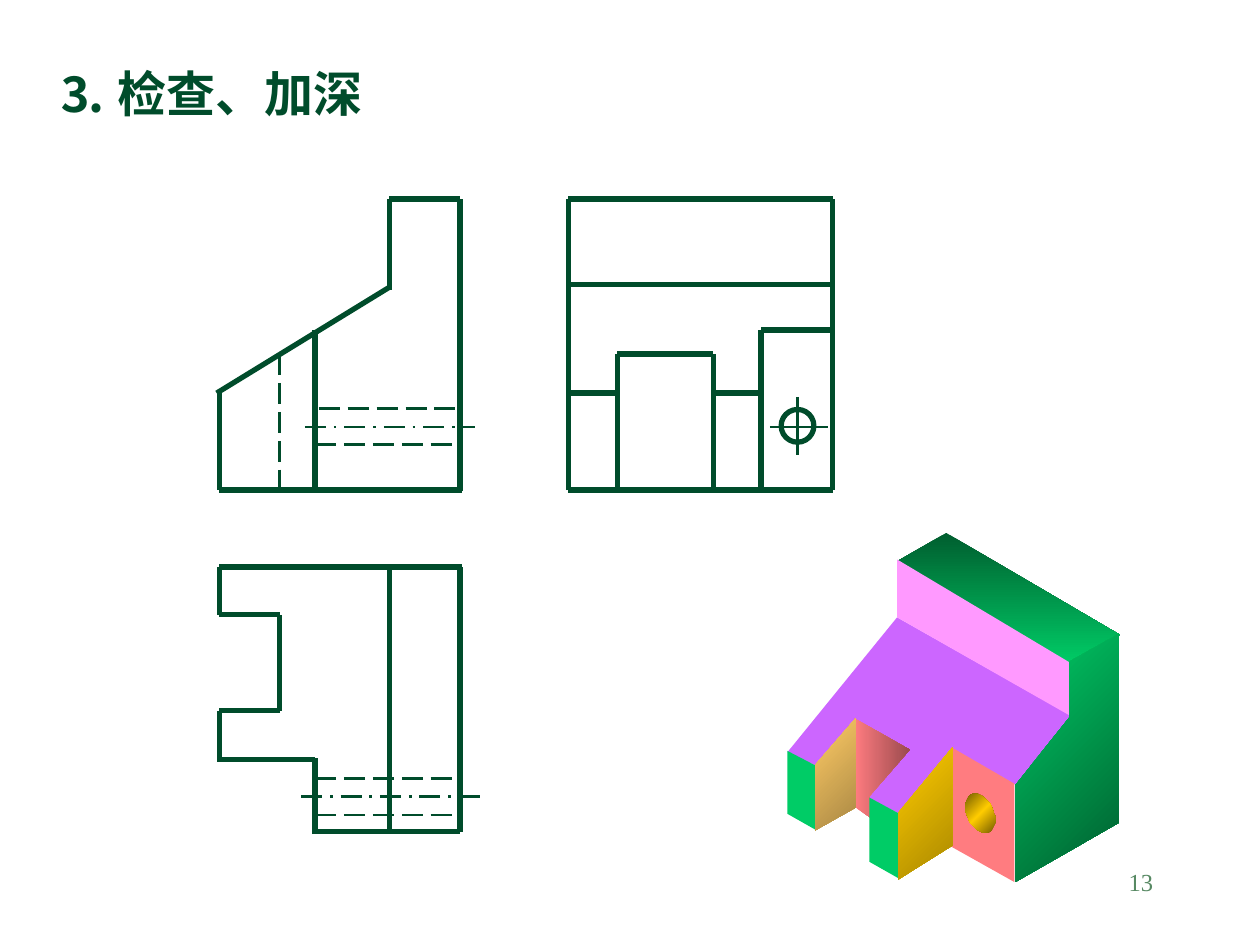
"""Slide with three orthographic views of a bracket and its shaded solid."""
from itertools import pairwise
from math import cos, radians

from lxml.etree import SubElement
from pptx import Presentation
from pptx.dml.color import RGBColor
from pptx.enum.dml import MSO_LINE as Dash
from pptx.enum.shapes import MSO_CONNECTOR as Conn, MSO_SHAPE as Shape
from pptx.enum.text import MSO_ANCHOR as Anchor, PP_ALIGN as Align
from pptx.oxml.ns import qn
from pptx.util import Pt

PX = 9144
COLORS = {
    "ink": "004C2B", "number": "578963", "violet": "CC66FF", "salmon": "FF7C80",
    "brown": "9B4B4E", "pink": "FF99FF", "green": "00CC66", "forest": "005E2F",
    "sand": "FFCC66", "tan": "AA8844", "gold": "FFCC00", "ochre": "AA8800",
    "bronze": "765E00",
}
TEXTS = [
    ("⒊ 检查、加深", (36, 31, 850, 71), 28, "Noto Sans CJK SC", "ink", True, Align.LEFT, Anchor.BOTTOM),
    ("13", (717, 683, 208, 50), 14, "Times New Roman", "number", False, Align.RIGHT, Anchor.TOP),
]
FRONT_VIEW = [
    [(309, 158), (365, 158), (365, 390)],
    [(309, 158), (309, 230)],
    [(309, 228), (172, 312)],
    [(174, 311), (174, 389), (367, 389)],
    [(250, 262), (250, 389)],
]
SIDE_VIEW = [
    [(451, 158), (661, 158), (661, 389), (451, 389), (451, 158)],
    [(451, 226), (660, 226)],
    [(490, 390), (490, 281), (566, 281), (566, 389)],
    [(453, 312), (490, 312)],
    [(568, 312), (604, 312)],
    [(604, 389), (604, 262), (662, 262)],
]
TOP_VIEW = [
    [(174, 450), (367, 450)],
    [(365, 450), (365, 660), (250, 660)],
    [(250, 662), (250, 602)],
    [(250, 603), (172, 603)],
    [(174, 604), (174, 564), (222, 564), (222, 488), (174, 488), (174, 450)],
    [(309, 660), (309, 450)],
]
HIDDEN_EDGES = [
    [(222, 281), (222, 390)], [(253, 324), (365, 324)], [(250, 353), (365, 353)],
    [(250, 618), (367, 618)], [(250, 647), (365, 647)],
]
AXES = [[(242, 339), (377, 339)], [(239, 632), (381, 632)]]
CROSSHAIR = [[(633, 315), (633, 361)], [(611, 339), (657, 339)]]
HOLE_FRONT = (620, 325, 26, 26)
LINES = [
    (CROSSHAIR, 1.5, None), (AXES, 1.5, Dash.LONG_DASH_DOT), (HIDDEN_EDGES, 1.5, Dash.LONG_DASH),
    (FRONT_VIEW + SIDE_VIEW + TOP_VIEW, 3, None),
]
HOLE = [(778 + 12 * cos(radians(a)), 645.5 + 15.5 * cos(radians(a - 70))) for a in range(0, 360, 10)]
FACES = [
    ([(712, 490), (625, 597), (648, 608), (678, 574), (721, 595), (687, 632),
      (714, 646), (756, 594), (806, 623), (850, 568)], ["violet"], 0),
    ([(755, 593), (805, 622), (805, 700), (755, 672)], ["salmon"], 0),
    ([(678, 570), (722, 595), (690, 632), (691, 649), (678, 640)], ["salmon", "brown"], 0),
    ([(713, 445), (751, 423), (889, 504), (850, 527)], ["forest", "green"], 90),
    ([(712, 444), (712, 490), (851, 569), (851, 527)], ["pink"], 0),
    ([(888, 503), (888, 653), (806, 700), (806, 623), (849, 569), (849, 525)], ["green", "forest"], 45),
    ([(625, 596), (648, 608), (648, 659), (625, 646)], ["green"], 0),
    ([(690, 633), (714, 646), (713, 697), (690, 684)], ["green"], 0),
    ([(647, 607), (679, 570), (679, 641), (647, 659)], ["sand", "tan"], 45),
    (HOLE, ["bronze", "gold", "bronze"], 45),
    ([(713, 645), (713, 698), (756, 671), (756, 593)], ["gold", "ochre"], 45),
]


def rgb(name):
    return RGBColor.from_string(COLORS[name])


def emu(box):
    return [v * PX for v in box]


def add_text(s, text, box, size, font, color, bold, align, anchor):
    tf = s.shapes.add_textbox(*emu(box)).text_frame
    tf.word_wrap = True
    tf.vertical_anchor = anchor
    tf.text = text
    p = tf.paragraphs[0]
    p.alignment = align
    r = p.runs[0]
    r.font.size, r.font.bold, r.font.name = Pt(size), bold, font
    r.font.color.rgb = rgb(color)
    SubElement(r.font._element, qn("a:ea"), typeface=font)


def add_line(s, start, end, width, dash):
    c = s.shapes.add_connector(Conn.STRAIGHT, *emu(start + end))
    c.line.color.rgb = rgb("ink")
    c.line.width = Pt(width)
    if dash:
        c.line.dash_style = dash
    SubElement(c._element.spPr, qn("a:effectLst"))


def paint(sp, colors, angle):
    if len(colors) == 1:
        sp.fill.solid()
        sp.fill.fore_color.rgb = rgb(colors[0])
        return
    sp.fill.gradient()
    sp.fill.gradient_angle = -angle % 360
    stops = next(sp._element.spPr.iter(qn("a:gsLst")))
    for stop in list(stops):
        stops.remove(stop)
    for i, color in enumerate(colors):
        gs = SubElement(stops, qn("a:gs"), pos=str(i * 100000 // (len(colors) - 1)))
        SubElement(gs, qn("a:srgbClr"), val=COLORS[color])


def add_face(group, points, colors, angle):
    builder = group.shapes.build_freeform(*points[0], scale=PX)
    builder.add_line_segments(points[1:], close=True)
    sp = builder.convert_to_shape()
    sp.shadow.inherit = False
    sp.line.fill.background()
    paint(sp, colors, angle)


def main():
    prs = Presentation()
    prs.slide_width, prs.slide_height = emu((1000, 750))
    s = prs.slides.add_slide(prs.slide_layouts[6])
    for text in TEXTS:
        add_text(s, *text)
    for chains, width, dash in LINES:
        for chain in chains:
            for start, end in pairwise(chain):
                add_line(s, start, end, width, dash)
    circle = s.shapes.add_shape(Shape.OVAL, *emu(HOLE_FRONT))
    circle.shadow.inherit = False
    circle.fill.background()
    circle.line.color.rgb = rgb("ink")
    circle.line.width = Pt(3)
    solid = s.shapes.add_group_shape()
    for face in FACES:
        add_face(solid, *face)
    prs.save("out.pptx")


if __name__ == "__main__":
    main()
